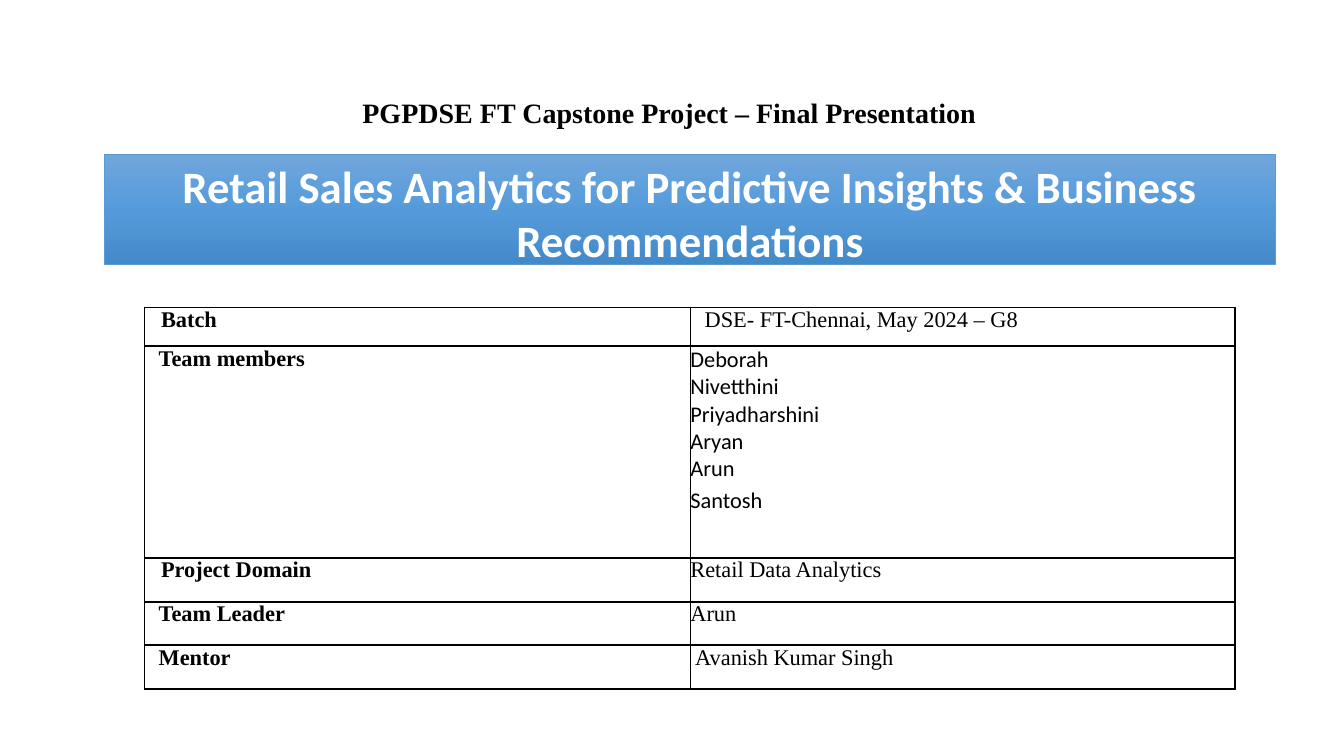
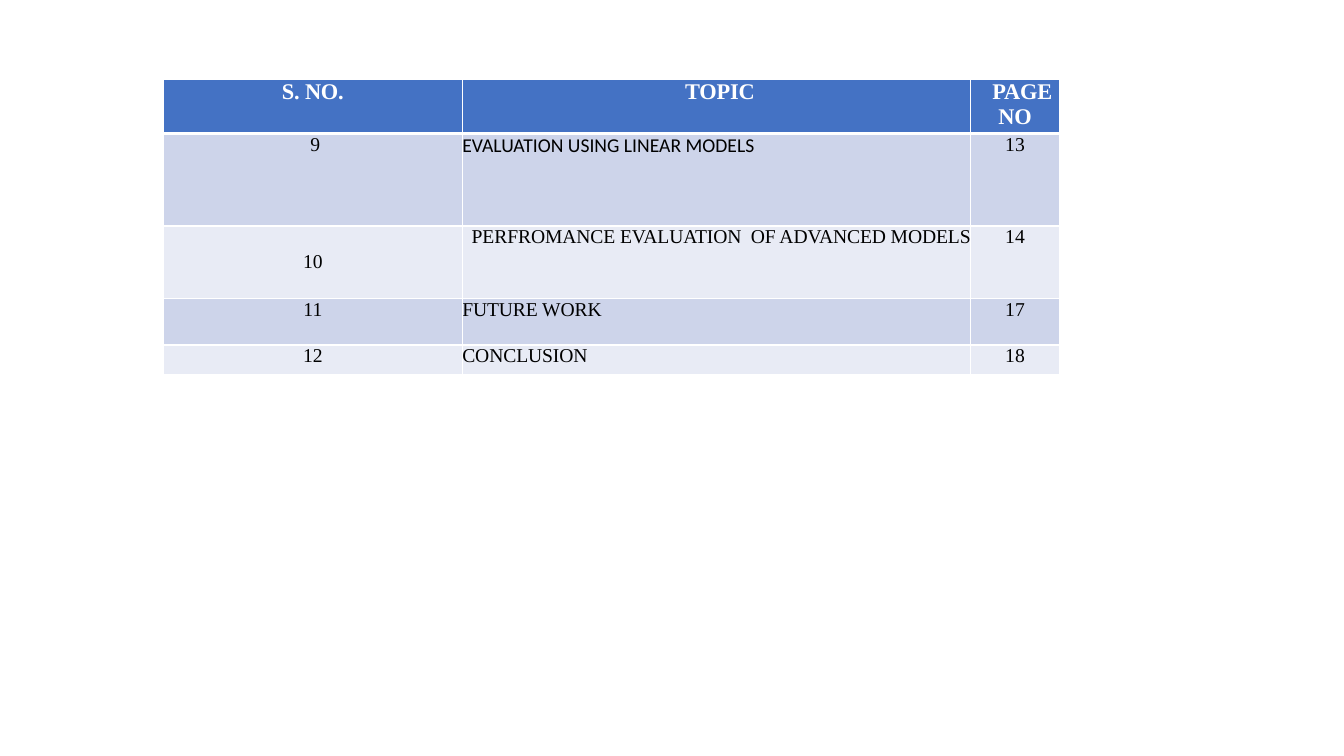
from copy import deepcopy

from lxml import etree
from pptx import Presentation
from pptx.dml.color import RGBColor
from pptx.enum.shapes import MSO_SHAPE
from pptx.enum.text import MSO_ANCHOR, PP_ALIGN
from pptx.oxml.ns import qn
from pptx.util import Cm, Pt

LEFT, CENTER, RIGHT = PP_ALIGN.LEFT, PP_ALIGN.CENTER, PP_ALIGN.RIGHT
SERIF, SANS = "Times New Roman", "Calibri"
BLACK, WHITE = "000000", "FFFFFF"
HEADER_BLUE, BANDS = "4472C4", ("CDD4EA", "E8EBF5")
BANNER_LINE = "5B9BD5"
BANNER_STOPS = ((0, "70A6DB"), (0.5, "559BDB"), (1, "448AC9"))

HEADING = "PGPDSE FT Capstone Project – Final Presentation"
BANNER = "Retail Sales Analytics for Predictive Insights & Business Recommendations"
TEAM = "Deborah\nNivetthini\nPriyadharshini\nAryan\nArun\nSantosh"

# Each cell is its text and the settings that differ from its column.
PROJECT_ROWS = [
    [("Batch", {"indent": 0.42}), ("DSE- FT-Chennai, May 2024 – G8", {"indent": 0.36})],
    [("Team members", {}), (TEAM, {"font": SANS, "last_gap": 3})],
    [("Project Domain", {"indent": 0.42}), ("Retail Data Analytics", {})],
    [("Team Leader", {}), ("Arun", {})],
    [("Mentor", {}), ("Avanish Kumar Singh", {"indent": 0.12})],
]
PROJECT_COLUMNS = [{"bold": True, "indent": 0.36}, {}]

TOPIC_HEADER = [("S. NO.", {}), ("TOPIC", {"indent": 0.18}), ("PAGE NO", {"indent": 0.36})]
TOPIC_ROWS = [
    [("9", {"indent": 0.12}), ("EVALUATION USING LINEAR MODELS", {"font": SANS, "spacing": 0}),
     ("13", {})],
    [("10", {"top": 0.64}),
     ("PERFROMANCE EVALUATION  OF ADVANCED MODELS", {"align": RIGHT}), ("14", {})],
    [("11", {}), ("FUTURE WORK", {}), ("17", {})],
    [("12", {}), ("CONCLUSION", {}), ("18", {})],
]
TOPIC_COLUMNS = [{"align": CENTER}, {"spacing": -10}, {"align": CENTER}]


def color(value):
    return RGBColor.from_string(value)


def style_runs(paragraph, font, size, ink, bold=False, spacing=0):
    """Format every run; spacing is in hundredths of a point."""
    for run in paragraph.runs:
        run.font.name, run.font.size, run.font.bold = font, Pt(size), bold
        run.font.color.rgb = color(ink)
        if spacing:
            run.font._element.set("spc", str(spacing))


def set_borders(cell, ink, widths):
    """Draw the left, right, top and bottom borders, with widths in points."""
    properties = cell._tc.get_or_add_tcPr()
    for position, (side, width) in enumerate(zip("LRTB", widths)):
        line = etree.Element(qn(f"a:ln{side}"), w=str(Pt(width)))
        fill = etree.SubElement(line, qn("a:solidFill"))
        etree.SubElement(fill, qn("a:srgbClr"), val=ink)
        properties.insert(position, line)


def fill_cell(cell, text, background, size, font=SERIF, ink=BLACK, bold=False,
              align=LEFT, indent=0, top=0, spacing=0, last_gap=0):
    cell.margin_left = cell.margin_right = cell.margin_bottom = 0
    cell.margin_top = Cm(top)
    cell.fill.solid()
    cell.fill.fore_color.rgb = color(background)
    cell.text_frame.text = text
    paragraphs = cell.text_frame.paragraphs
    for paragraph in paragraphs:
        paragraph.alignment = align
        if indent:
            paragraph._p.get_or_add_pPr().set("indent", str(Cm(indent)))
        style_runs(paragraph, font, size, ink, bold, spacing)
    if last_gap:
        paragraphs[-1].space_before = Pt(last_gap)


def add_grid(slide, left, top, widths, heights):
    frame = slide.shapes.add_table(len(heights), len(widths), Cm(left), Cm(top),
                                   Cm(sum(widths)), Cm(sum(heights)))
    table = frame.table
    table.first_row = table.horz_banding = False
    for column, width in zip(table.columns, widths):
        column.width = Cm(width)
    for row, height in zip(table.rows, heights):
        row.height = Cm(height)
    return table


def add_heading(slide):
    box = slide.shapes.add_textbox(Cm(4.42), Cm(2.32), Cm(24.9), Cm(0.8))
    text_frame = box.text_frame
    text_frame.word_wrap = True
    text_frame.margin_left = text_frame.margin_right = 0
    text_frame.margin_top = text_frame.margin_bottom = 0
    text_frame.text = HEADING
    paragraph = text_frame.paragraphs[0]
    paragraph.alignment = CENTER
    paragraph.line_spacing = 1.1
    style_runs(paragraph, SERIF, 20, BLACK, bold=True)


def add_banner(slide):
    banner = slide.shapes.add_shape(MSO_SHAPE.RECTANGLE, Cm(2.64), Cm(3.88), Cm(29.5), Cm(2.78))
    banner.shadow.inherit = False
    banner.line.color.rgb = color(BANNER_LINE)
    banner.line.width = Pt(0.5)
    fill = banner.fill
    fill.gradient()
    fill.gradient_angle = 270
    stop_list = banner._element.spPr.find(qn("a:gradFill")).find(qn("a:gsLst"))
    stop_list.append(deepcopy(stop_list[-1]))
    for stop, (position, shade) in zip(fill.gradient_stops, BANNER_STOPS):
        stop.position = position
        stop.color.rgb = color(shade)
    text_frame = banner.text_frame
    text_frame.word_wrap = True
    text_frame.vertical_anchor = MSO_ANCHOR.TOP
    text_frame.margin_left = text_frame.margin_right = Cm(0.13)
    text_frame.margin_top = text_frame.margin_bottom = Cm(0.13)
    text_frame.text = BANNER
    paragraph = text_frame.paragraphs[0]
    paragraph.alignment = CENTER
    style_runs(paragraph, SANS, 32, WHITE, bold=True)


def build_title_slide(slide):
    add_heading(slide)
    table = add_grid(slide, 3.64, 7.75, [13.76, 13.72], [0.97, 5.34, 1.1, 1.1, 1.1])
    for row, cells in enumerate(PROJECT_ROWS):
        for column, (text, settings) in enumerate(cells):
            cell = table.cell(row, column)
            fill_cell(cell, text, WHITE, 16, **{**PROJECT_COLUMNS[column], **settings})
            set_borders(cell, BLACK, [1.5] * 4)
    add_banner(slide)


def build_topics_slide(slide):
    table = add_grid(slide, 4.12, 2.01, [7.53, 12.81, 2.24], [1.24, 2.33, 1.83, 1.17, 0.74])
    for column, (text, settings) in enumerate(TOPIC_HEADER):
        cell = table.cell(0, column)
        fill_cell(cell, text, HEADER_BLUE, 16, ink=WHITE, bold=True, align=CENTER,
                  spacing=-10, **settings)
        set_borders(cell, WHITE, (1, 1, 1, 3))
    for row, cells in enumerate(TOPIC_ROWS, start=1):
        for column, (text, settings) in enumerate(cells):
            cell = table.cell(row, column)
            fill_cell(cell, text, BANDS[(row - 1) % 2], 14,
                      **{**TOPIC_COLUMNS[column], **settings})
            set_borders(cell, WHITE, (1, 1, 3 if row == 1 else 1, 1))


def main():
    presentation = Presentation()
    presentation.slide_width, presentation.slide_height = Cm(33.87), Cm(19.05)
    blank = presentation.slide_layouts[6]
    for build in (build_title_slide, build_topics_slide):
        build(presentation.slides.add_slide(blank))
    presentation.save("out.pptx")


if __name__ == "__main__":
    main()
